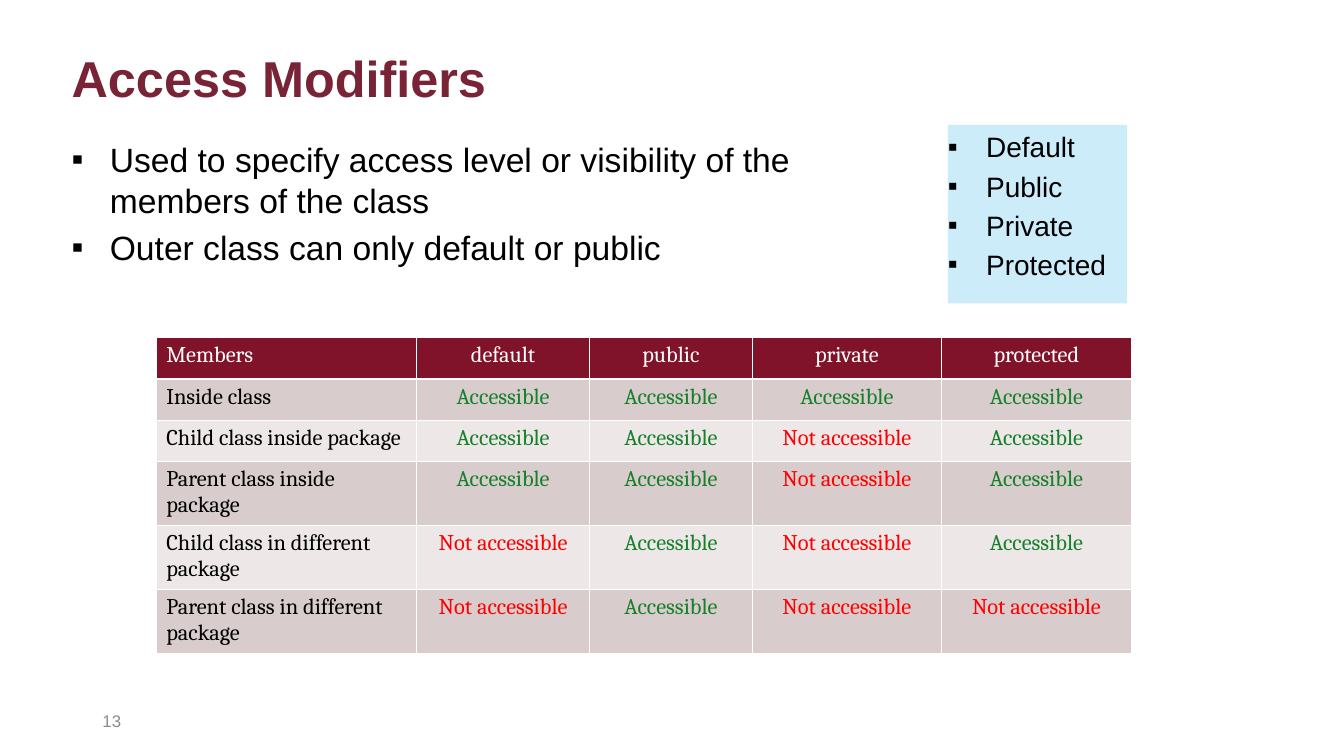
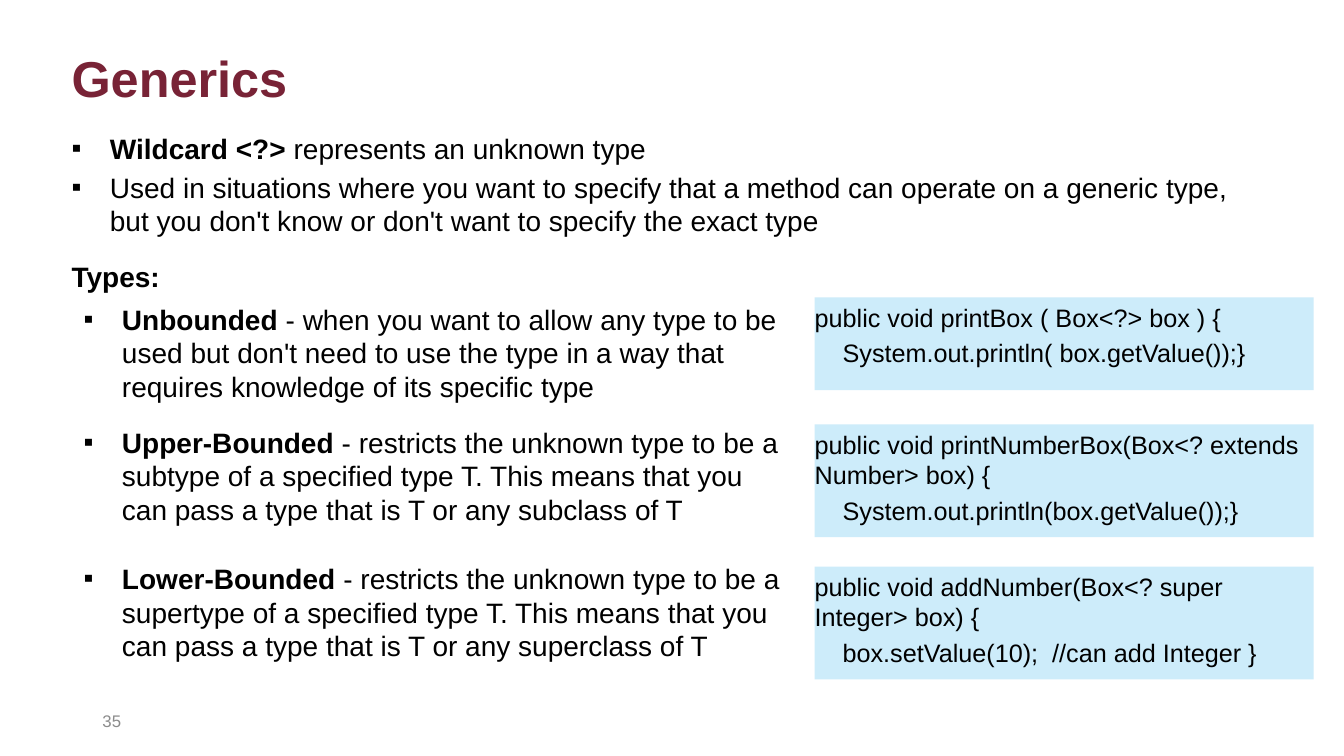
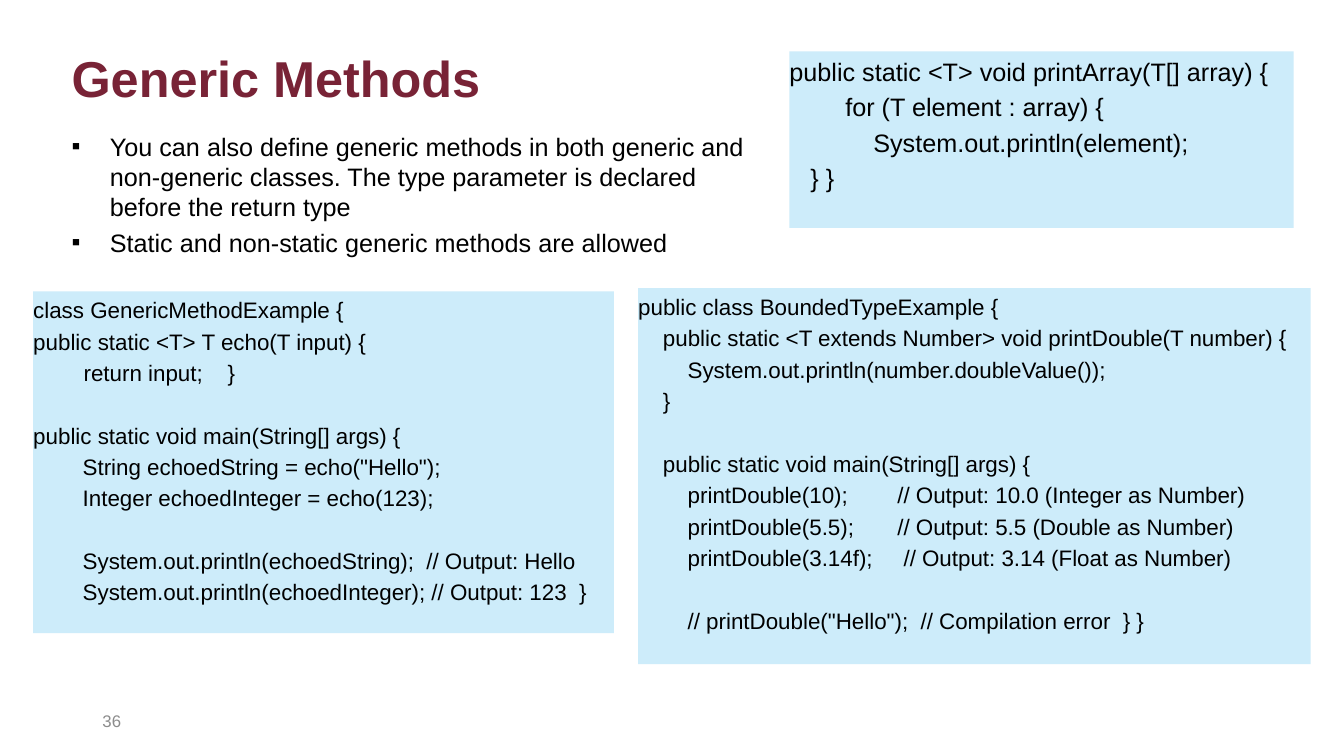
from dataclasses import dataclass
from typing import Any, Optional

import lxml.etree
import pptx
import pptx.dml.color
import pptx.enum.shapes
import pptx.enum.text
import pptx.oxml.ns
import pptx.util

Inches = pptx.util.Inches
RGBColor = pptx.dml.color.RGBColor
Align = pptx.enum.text.PP_ALIGN
Anchor = pptx.enum.text.MSO_ANCHOR

MAROON = RGBColor(0x78, 0x23, 0x36)
HEADER_FILL = RGBColor(0x80, 0x13, 0x29)
BAND_FILLS = (RGBColor(0xED, 0xE7, 0xE8), RGBColor(0xD8, 0xCC, 0xCD))
PALE_BLUE = RGBColor(0xCD, 0xEC, 0xFA)
BLACK = RGBColor(0x00, 0x00, 0x00)
WHITE = RGBColor(0xFF, 0xFF, 0xFF)
GREY = RGBColor(0x8C, 0x8C, 0x8C)
GREEN = RGBColor(0x16, 0x80, 0x2A)
RED = RGBColor(0xFF, 0x00, 0x00)

BODY_FONT = "Arial"
TABLE_FONT = "Cambria"
BULLET_INDENT = Inches(0.38)
SPACE_RATIO = 0.2
BLANK_LINE_RATIO = 1.4


@dataclass(frozen=True)
class Area:
    left: float
    top: float
    width: float
    height: float

    def lengths(self) -> tuple[int, int, int, int]:
        return (Inches(self.left), Inches(self.top), Inches(self.width), Inches(self.height))


@dataclass(frozen=True)
class Line:
    text: str
    lead: str = ""
    bullet: bool = True
    bold: bool = False
    spacing: Optional[float] = None
    gap_lines: int = 0


@dataclass(frozen=True)
class Panel:
    area: Area
    lines: list[Line]
    size: float


TITLE_AREA = Area(0.71, 0.42, 11.33, 1.25)
NUMBER_AREA = Area(0.83, 6.95, 0.47, 0.4)
TABLE_AREA = Area(1.55, 3.35, 9.67, 2.46)
COLUMN_WIDTHS = (2.58, 1.72, 1.61, 1.88, 1.88)
ROW_HEIGHT = 0.41

MEMBERS = ("Members", "default", "public", "private", "protected")
ACCESS = (
    ("Inside class", (True, True, True, True)),
    ("Child class inside package", (True, True, False, True)),
    ("Parent class inside package", (True, True, False, True)),
    ("Child class in different package", (False, True, False, True)),
    ("Parent class in different package", (False, True, False, False)),
)


def code_lines(source: str) -> list[Line]:
    lines: list[Line] = []
    gap = 0
    for text in source.strip("\n").split("\n"):
        if text:
            lines.append(Line(text, bullet=False, gap_lines=gap))
            gap = 0
        else:
            gap += 1
    return lines


PRINT_BOX = """
public void printBox ( Box<?> box ) {
    System.out.println( box.getValue());}
"""
PRINT_NUMBER_BOX = """
public void printNumberBox(Box<? extends Number> box) {
    System.out.println(box.getValue());}
"""
ADD_NUMBER = """
public void addNumber(Box<? super Integer> box) {
    box.setValue(10);  //can add Integer }
"""
PRINT_ARRAY = """
public static <T> void printArray(T[] array) {
        for (T element : array) {
            System.out.println(element);
   } }
"""
ECHO_EXAMPLE = """
class GenericMethodExample {
public static <T> T echo(T input) {
\treturn input;    }

public static void main(String[] args) {
        String echoedString = echo("Hello");
        Integer echoedInteger = echo(123);

        System.out.println(echoedString);  // Output: Hello
        System.out.println(echoedInteger); // Output: 123  }
"""
BOUNDED_EXAMPLE = """
public class BoundedTypeExample {
    public static <T extends Number> void printDouble(T number) {
        System.out.println(number.doubleValue());
    }

    public static void main(String[] args) {
        printDouble(10);        // Output: 10.0 (Integer as Number)
        printDouble(5.5);       // Output: 5.5 (Double as Number)
        printDouble(3.14f);     // Output: 3.14 (Float as Number)

        // printDouble("Hello");  // Compilation error  } }
"""


def add_span(para: Any, text: str, size: float, color: RGBColor,
             bold: bool = False, font: str = BODY_FONT) -> None:
    span = para.add_run()
    span.text = text
    span.font.name = font
    span.font.size = pptx.util.Pt(size)
    span.font.bold = bold
    span.font.color.rgb = color


def set_bullet(para: Any, bullet: bool) -> None:
    properties = para._p.get_or_add_pPr()
    indent = BULLET_INDENT if bullet else 0
    properties.set("marL", str(indent))
    properties.set("indent", str(-indent))
    qn = pptx.oxml.ns.qn
    if bullet:
        lxml.etree.SubElement(properties, qn("a:buFont"), typeface=BODY_FONT)
        lxml.etree.SubElement(properties, qn("a:buChar"), char="▪")
    else:
        lxml.etree.SubElement(properties, qn("a:buNone"))


def prepare_frame(box: Any) -> Any:
    frame = box.text_frame
    frame.word_wrap = True
    frame.auto_size = pptx.enum.text.MSO_AUTO_SIZE.NONE
    frame.vertical_anchor = Anchor.TOP
    frame.margin_left = 0
    frame.margin_right = Inches(0.1)
    frame.margin_top = frame.margin_bottom = Inches(0.05)
    return frame


def write_lines(box: Any, lines: list[Line], size: float) -> None:
    frame = prepare_frame(box)
    for index, line in enumerate(lines):
        para = frame.add_paragraph() if index else frame.paragraphs[0]
        para.alignment = Align.LEFT
        space = SPACE_RATIO + line.gap_lines * BLANK_LINE_RATIO if index else 0
        para.space_before = pptx.util.Pt(round(size * space, 1))
        if line.spacing:
            para.line_spacing = line.spacing
        set_bullet(para, line.bullet)
        if line.lead:
            add_span(para, line.lead, size, BLACK, bold=True)
        add_span(para, line.text, size, BLACK, bold=line.bold)


def place(box: Any, area: Area) -> None:
    box.left, box.top, box.width, box.height = area.lengths()


def add_page(deck: Any, title: str, number: int, body: Panel) -> Any:
    page = deck.slides.add_slide(deck.slide_layouts[1])
    heading = page.shapes.title
    place(heading, TITLE_AREA)
    para = prepare_frame(heading).paragraphs[0]
    para.alignment = Align.LEFT
    add_span(para, title, 36, MAROON, bold=True)

    content = page.placeholders[1]
    place(content, body.area)
    write_lines(content, body.lines, body.size)

    number_box = page.shapes.add_textbox(*NUMBER_AREA.lengths())
    frame = number_box.text_frame
    frame.word_wrap = True
    frame.vertical_anchor = Anchor.MIDDLE
    frame.paragraphs[0].alignment = Align.RIGHT
    add_span(frame.paragraphs[0], str(number), 12, GREY)
    return page


def add_panel(page: Any, panel: Panel) -> None:
    box = page.shapes.add_shape(pptx.enum.shapes.MSO_SHAPE.RECTANGLE, *panel.area.lengths())
    box.shadow.inherit = False
    box.fill.solid()
    box.fill.fore_color.rgb = PALE_BLUE
    box.line.fill.background()
    write_lines(box, panel.lines, panel.size)


def add_text(page: Any, panel: Panel) -> None:
    write_lines(page.shapes.add_textbox(*panel.area.lengths()), panel.lines, panel.size)


def set_borders(cell: Any) -> None:
    qn = pptx.oxml.ns.qn
    properties = cell._tc.get_or_add_tcPr()
    for position, side in enumerate(("a:lnL", "a:lnR", "a:lnT", "a:lnB")):
        border = lxml.etree.Element(qn(side), w=str(pptx.util.Pt(1)))
        fill = lxml.etree.SubElement(border, qn("a:solidFill"))
        lxml.etree.SubElement(fill, qn("a:srgbClr"), val=str(WHITE))
        properties.insert(position, border)


def fill_cell(cell: Any, text: str, fill: RGBColor, color: RGBColor, centred: bool) -> None:
    cell.fill.solid()
    cell.fill.fore_color.rgb = fill
    set_borders(cell)
    para = cell.text_frame.paragraphs[0]
    para.alignment = Align.CENTER if centred else Align.LEFT
    add_span(para, text, 16, color, font=TABLE_FONT)


def add_access_table(page: Any) -> None:
    table = page.shapes.add_table(
        len(ACCESS) + 1, len(MEMBERS), *TABLE_AREA.lengths()).table
    for column, width in zip(table.columns, COLUMN_WIDTHS):
        column.width = Inches(width)
    for row in table.rows:
        row.height = Inches(ROW_HEIGHT)
    for index, name in enumerate(MEMBERS):
        fill_cell(table.cell(0, index), name, HEADER_FILL, WHITE, index > 0)
    for row_index, (member, rights) in enumerate(ACCESS, start=1):
        fill = BAND_FILLS[row_index % 2]
        fill_cell(table.cell(row_index, 0), member, fill, BLACK, False)
        for index, allowed in enumerate(rights, start=1):
            text, color = ("Accessible", GREEN) if allowed else ("Not accessible", RED)
            fill_cell(table.cell(row_index, index), text, fill, color, True)


def build_access_modifiers(deck: Any) -> None:
    page = add_page(deck, "Access Modifiers", 13, Panel(Area(0.71, 1.33, 8.68, 1.58), [
        Line("Used to specify access level or visibility of the members of the class"),
        Line("Outer class can only default or public"),
    ], 24))
    names = [Line(name) for name in ("Default", "Public", "Private", "Protected")]
    add_panel(page, Panel(Area(9.4, 1.24, 1.78, 1.77), names, 20))
    add_access_table(page)


def build_generics(deck: Any) -> None:
    page = add_page(deck, "Generics", 35, Panel(Area(0.71, 1.25, 11.79, 1.7), [
        Line("represents an unknown type", lead="Wildcard <?> "),
        Line("Used in situations where you want to specify that a method can operate on a "
             "generic type, but you don't know or don't want to specify the exact type"),
        Line("Types:", bullet=False, bold=True, spacing=1.5),
    ], 20))
    bounds = (
        (Area(0.83, 2.95, 7.25, 1.46), "Unbounded",
         " - when you want to allow any type to be used but don't need to use the type "
         "in a way that requires knowledge of its specific type"),
        (Area(0.83, 4.17, 7.14, 1.22), "Upper-Bounded",
         " - restricts the unknown type to be a subtype of a specified type T. "
         "This means that you can pass a type that is T or any subclass of T"),
        (Area(0.83, 5.52, 7.25, 1.22), "Lower-Bounded",
         " - restricts the unknown type to be a supertype of a specified type T. "
         "This means that you can pass a type that is T or any superclass of T"),
    )
    for area, lead, text in bounds:
        add_text(page, Panel(area, [Line(text, lead=lead)], 20))
    examples = ((2.95, 0.92, PRINT_BOX), (4.21, 1.12, PRINT_NUMBER_BOX), (5.62, 1.12, ADD_NUMBER))
    for top, height, source in examples:
        add_panel(page, Panel(Area(8.08, top, 4.95, height), code_lines(source), 18))


def build_generic_methods(deck: Any) -> None:
    page = add_page(deck, "Generic Methods", 36, Panel(Area(0.71, 1.25, 6.87, 1.25), [
        Line("You can also define generic methods in both generic and non-generic classes. "
             "The type parameter is declared before the return type"),
        Line("Static and non-static generic methods are allowed"),
    ], 18))
    examples = (
        (Area(7.83, 0.51, 5, 1.75), PRINT_ARRAY, 18),
        (Area(0.33, 2.89, 5.76, 3.39), ECHO_EXAMPLE, 16),
        (Area(6.33, 2.86, 6.67, 3.73), BOUNDED_EXAMPLE, 16),
    )
    for area, source, size in examples:
        add_panel(page, Panel(area, code_lines(source), size))


def main() -> None:
    deck = pptx.Presentation()
    deck.slide_width = Inches(13.33)
    deck.slide_height = Inches(7.5)
    build_access_modifiers(deck)
    build_generics(deck)
    build_generic_methods(deck)
    deck.save("out.pptx")


if __name__ == "__main__":
    main()
